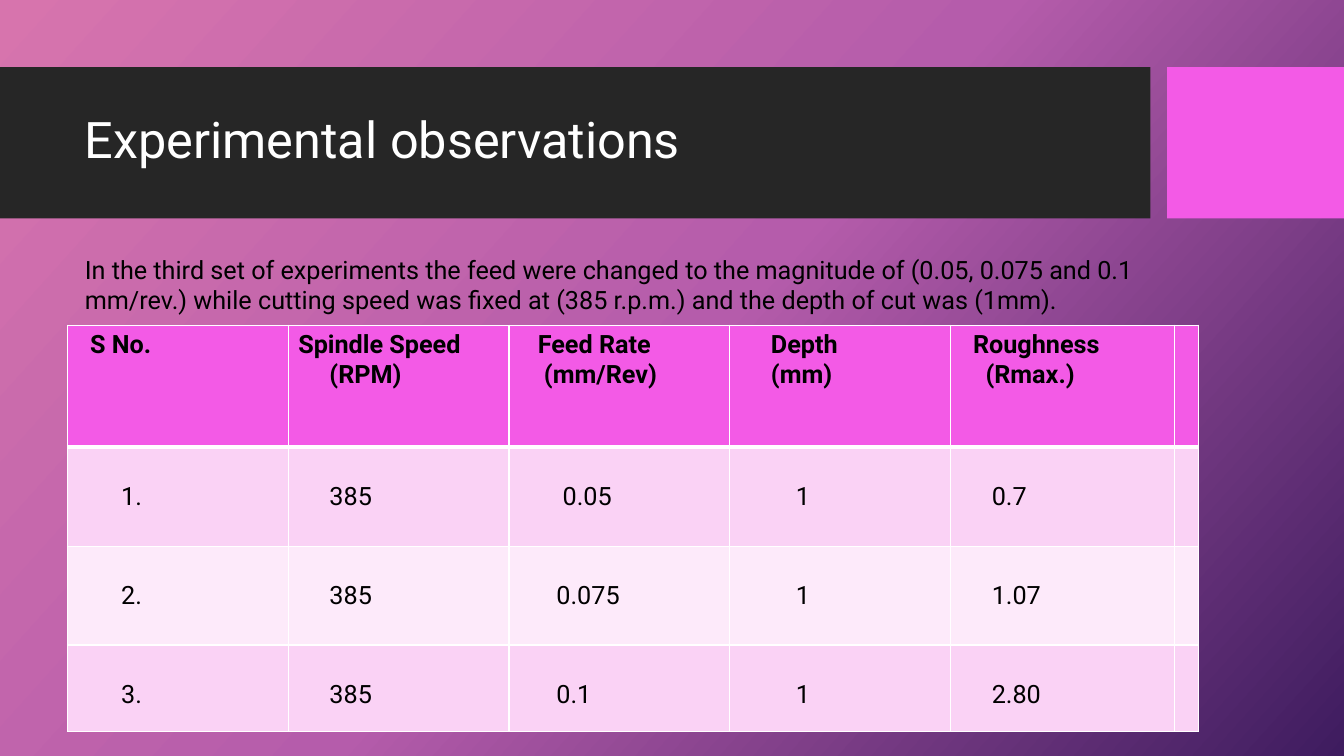
from copy import deepcopy
from lxml import etree
from pptx import Presentation
from pptx.dml.color import RGBColor
from pptx.enum.shapes import MSO_SHAPE
from pptx.enum.text import MSO_ANCHOR, MSO_AUTO_SIZE, PP_ALIGN
from pptx.oxml.ns import qn
from pptx.util import Pt

RECT = MSO_SHAPE.RECTANGLE
TOP, MIDDLE = MSO_ANCHOR.TOP, MSO_ANCHOR.MIDDLE
FIXED, LEFT = MSO_AUTO_SIZE.NONE, PP_ALIGN.LEFT
FONT = "Roboto"
BLACK = RGBColor(0x00, 0x00, 0x00)
WHITE = RGBColor(0xFF, 0xFF, 0xFF)
DARK = RGBColor(0x26, 0x26, 0x26)
PINK = RGBColor(0xF3, 0x5A, 0xE6)
PALE = RGBColor(0xFA, 0xD2, 0xF5)
LIGHT = RGBColor(0xFD, 0xEA, 0xFA)
STOPS = [
    (0, RGBColor(0xD7, 0x74, 0xAD)),
    (0.5, RGBColor(0xB5, 0x5C, 0xAB)),
    (1, RGBColor(0x3E, 0x1C, 0x5F)),
]


def write(para, text, size, color, bold=False):
    run = para.add_run()
    run.text = text
    run.font.name = FONT
    run.font.size = Pt(size)
    run.font.bold = bold
    run.font.color.rgb = color


def border(cell, side, width):
    line = etree.SubElement(cell._tc.get_or_add_tcPr(), qn("a:" + side), w=str(Pt(width)))
    fill = etree.SubElement(line, qn("a:solidFill"))
    etree.SubElement(fill, qn("a:srgbClr"), val=str(WHITE))


prs = Presentation()
prs.slide_width, prs.slide_height = Pt(960), Pt(540)
slide = prs.slides.add_slide(prs.slide_layouts[1])

back = slide.background.fill
back.gradient()
grad = slide.element.find(".//" + qn("a:gradFill"))
marks = grad.find(qn("a:gsLst"))
marks.append(deepcopy(marks[0]))
for stop, (place, color) in zip(back.gradient_stops, STOPS):
    stop.position = place
    stop.color.rgb = color
grad.find(qn("a:lin")).set("ang", str(42 * 60000))

title, body = slide.placeholders
for left, width, color in [(0, 821.8, DARK), (833.6, 126.4, PINK)]:
    bar = slide.shapes.add_shape(RECT, Pt(left), Pt(48), Pt(width), Pt(108))
    bar.shadow.inherit = False
    bar.fill.solid()
    bar.fill.fore_color.rgb = color
    bar.line.fill.background()
    title.element.addprevious(bar.element)

for box, top, width, height, anchor, space, text, size, color in [
    (title, 59, 757, 85, MIDDLE, 0.9, "Experimental observations", 36, WHITE),
    (body, 178, 803, 51, TOP, 1.0,
     "In the third set of experiments the feed were changed to the magnitude of "
     "(0.05, 0.075 and 0.1 mm/rev.) while cutting speed was fixed at (385 r.p.m.) "
     "and the depth of cut was (1mm).", 18, BLACK),
]:
    box.left, box.top, box.width, box.height = Pt(53.4), Pt(top), Pt(width), Pt(height)
    frame = box.text_frame
    frame.word_wrap = True
    frame.auto_size = FIXED
    frame.vertical_anchor = anchor
    para = frame.paragraphs[0]
    props = para._p.get_or_add_pPr()
    props.set("marL", "0")
    props.set("indent", "0")
    etree.SubElement(props, qn("a:buNone"))
    para.alignment = LEFT
    para.line_spacing = space
    para.space_before = Pt(0)
    write(para, text, size, color)

STEP = 4.45
HEADS = [
    [("S No.", 2)],
    [("Spindle Speed", 0), ("(RPM)", 5)],
    [("Feed Rate", 3), ("(mm/Rev)", 4)],
    [("Depth", 5), ("(mm)", 5)],
    [("Roughness", 2), ("(Rmax.)", 4)],
    [],
]
DATA = [
    [("1.", 7), ("385", 5), ("0.05", 7), ("1", 9), ("0.7", 5)],
    [("2.", 7), ("385", 5), ("0.075", 6), ("1", 9), ("1.07", 5)],
    [("3.", 7), ("385", 5), ("0.1", 6), ("1", 9), ("2.80", 5)],
]
ROWS = [HEADS] + [[[item] for item in row] + [[]] for row in DATA]
FILLS = [PINK, PALE, LIGHT, PALE]
WIDTHS = [157.7] * 4 + [160, 16.8]
TALLS = [87.1, 70.7, 70.7, 61.5]

table = slide.shapes.add_table(
    len(ROWS), len(WIDTHS), Pt(48.2), Pt(232.3), Pt(sum(WIDTHS)), Pt(sum(TALLS))
).table
for col, width in zip(table.columns, WIDTHS):
    col.width = Pt(width)
for r, row in enumerate(ROWS):
    table.rows[r].height = Pt(TALLS[r])
    for c, lines in enumerate(row):
        cell = table.cell(r, c)
        border(cell, "lnL", 1)
        border(cell, "lnR", 1)
        border(cell, "lnT", 3 if r == 1 else 1)
        border(cell, "lnB", 3 if r == 0 else 1)
        cell.fill.solid()
        cell.fill.fore_color.rgb = FILLS[r]
        cell.margin_top = Pt(25 if r else 3.6)
        frame = cell.text_frame
        for n, (text, steps) in enumerate(lines):
            para = frame.add_paragraph() if n else frame.paragraphs[0]
            para._p.get_or_add_pPr().set("marL", str(Pt(steps * STEP)))
            write(para, text, 18, BLACK, r == 0)

prs.save("out.pptx")
